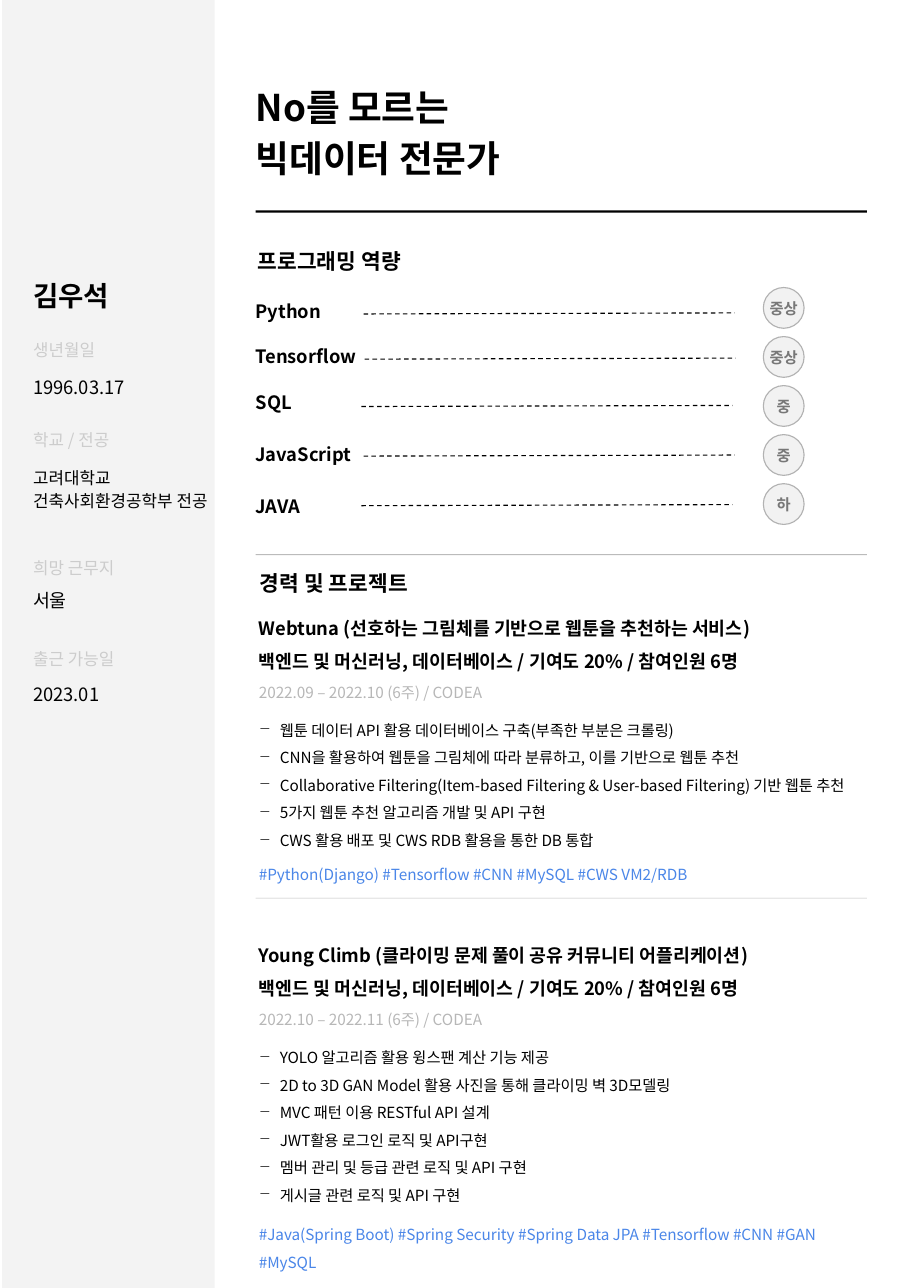
from lxml import etree
from pptx import Presentation
from pptx.dml.color import RGBColor
from pptx.enum.dml import MSO_LINE
from pptx.enum.shapes import MSO_CONNECTOR, MSO_SHAPE
from pptx.enum.text import MSO_ANCHOR, PP_ALIGN
from pptx.oxml.ns import qn
from pptx.util import Inches, Pt

RECTANGLE, OVAL = MSO_SHAPE.RECTANGLE, MSO_SHAPE.OVAL
STRAIGHT, DASH = MSO_CONNECTOR.STRAIGHT, MSO_LINE.DASH
MIDDLE, CENTER = MSO_ANCHOR.MIDDLE, PP_ALIGN.CENTER

FONT = "Noto Sans CJK KR"
BLACK = RGBColor(0x00, 0x00, 0x00)
PANEL_GRAY = RGBColor(0xF3, 0xF3, 0xF3)
LABEL_GRAY = RGBColor(0xCC, 0xCC, 0xCC)
RULE_GRAY = RGBColor(0xBB, 0xBB, 0xBB)
DATE_GRAY = RGBColor(0xB7, 0xB7, 0xB7)
BADGE_FILL = RGBColor(0xF2, 0xF2, 0xF2)
BADGE_LINE = RGBColor(0xB2, 0xB2, 0xB2)
BADGE_TEXT = RGBColor(0x77, 0x77, 0x77)
TAG_BLUE = RGBColor(0x4A, 0x86, 0xE8)

NAME = "김우석"
HEADLINE = ["No를 모르는", "빅데이터 전문가"]

# label, label top, value lines, value top, value size
PROFILE = [
    ("생년월일", 3.08, ["1996.03.17"], 3.41, 12),
    ("학교 / 전공", 3.9, ["고려대학교", "건축사회환경공학부 전공"], 4.22, 11),
    ("희망 근무지", 5.06, ["서울"], 5.35, 12),
    ("출근 가능일", 5.89, ["2023.01"], 6.2, 12),
]

# skill, level, label top, dash left, dash top
SKILLS = [
    ("Python", "중상", 2.72, 3.3, 2.84),
    ("Tensorflow", "중상", 3.13, 3.31, 3.25),
    ("SQL", "중", 3.55, 3.28, 3.68),
    ("JavaScript", "중", 4.02, 3.3, 4.13),
    ("JAVA", "하", 4.49, 3.28, 4.58),
]

SECTIONS = [("프로그래밍 역량", 2.34, 2.25), ("경력 및 프로젝트", 2.36, 5.17)]
# top, thickness in points, colour
RULES = [(1.91, 1.5, BLACK), (5.03, 0.75, RULE_GRAY), (8.15, 0.35, RULE_GRAY)]

ROLE = "백엔드 및 머신러닝, 데이터베이스 / 기여도 20% / 참여인원 6명"
PROJECTS = [
    {
        "top": 5.6,
        "title": "Webtuna (선호하는 그림체를 기반으로 웹툰을 추천하는 서비스)",
        "date": "2022.09 – 2022.10 (6주) / CODEA",
        "tasks": [
            "웹툰 데이터 API 활용 데이터베이스 구축(부족한 부분은 크롤링)",
            "CNN을 활용하여 웹툰을 그림체에 따라 분류하고, 이를 기반으로 웹툰 추천",
            "Collaborative Filtering(Item-based Filtering & User-based Filtering) 기반 웹툰 추천",
            "5가지 웹툰 추천 알고리즘 개발 및 API 구현",
            "CWS 활용 배포 및 CWS RDB 활용을 통한 DB 통합",
        ],
        "tags": "#Python(Django) #Tensorflow #CNN #MySQL #CWS VM2/RDB",
        "tags_top": 7.77,
    },
    {
        "top": 8.57,
        "title": "Young Climb (클라이밍 문제 풀이 공유 커뮤니티 어플리케이션)",
        "date": "2022.10 – 2022.11 (6주) / CODEA",
        "tasks": [
            "YOLO 알고리즘 활용 윙스팬 계산 기능 제공",
            "2D to 3D GAN Model 활용 사진을 통해 클라이밍 벽 3D모델링",
            "MVC 패턴 이용 RESTful API 설계",
            "JWT활용 로그인 로직 및 API구현",
            "멤버 관리 및 등급 관련 로직 및 API 구현",
            "게시글 관련 로직 및 API 구현",
        ],
        "tags": "#Java(Spring Boot) #Spring Security #Spring Data JPA #Tensorflow #CNN #GAN #MySQL",
        "tags_top": 11.04,
    },
]

SIDEBAR_LEFT, MAIN_LEFT, PROJECT_LEFT, MAIN_WIDTH = 0.3, 2.32, 2.35, 5.55
BADGE_LEFT, BADGE_TOP, BADGE_SIZE = 6.93, 2.61, 0.37
BADGE_PITCH = (4.39 - BADGE_TOP) / 4
DASH_LENGTH, DASH_RISE = 3.37, 0.01
LINE_HEIGHT = 0.25
TASK_HEIGHT = 1.59 / 6
TASK_INDENT = 0.19


def add_dash_bullet(paragraph):
    properties = paragraph._p.get_or_add_pPr()
    properties.set("marL", str(Inches(TASK_INDENT)))
    properties.set("indent", str(-Inches(TASK_INDENT)))
    color = etree.SubElement(properties, qn("a:buClr"))
    etree.SubElement(color, qn("a:srgbClr"), val=str(BLACK))
    etree.SubElement(properties, qn("a:buChar"), char="−")


def write(frame, lines, size, color, bold=False, spacing=None, bullet=False, align=None):
    """Fill a text frame without insets, one paragraph per line."""
    frame.word_wrap = True
    frame.margin_left = frame.margin_right = frame.margin_top = frame.margin_bottom = 0
    for index, line in enumerate(lines):
        paragraph = frame.add_paragraph() if index else frame.paragraphs[0]
        paragraph.text = line
        if align is not None:
            paragraph.alignment = align
        if spacing:
            paragraph.line_spacing = spacing
        if bullet:
            add_dash_bullet(paragraph)
        font = paragraph.font
        font.size = Pt(size)
        font.bold = bold
        font.color.rgb = color
        font.name = FONT
        # Hangul takes the East Asian typeface
        defaults = paragraph._p.pPr.find(qn("a:defRPr"))
        etree.SubElement(defaults, qn("a:ea"), typeface=FONT)


def add_text(slide, left, top, width, height, lines, size, color=BLACK, **style):
    box = slide.shapes.add_textbox(Inches(left), Inches(top), Inches(width), Inches(height))
    write(box.text_frame, lines, size, color, **style)


def add_block(slide, left, top, width, height, color, kind=RECTANGLE):
    shape = slide.shapes.add_shape(kind, Inches(left), Inches(top), Inches(width), height)
    shape.shadow.inherit = False
    shape.fill.solid()
    shape.fill.fore_color.rgb = color
    shape.line.fill.background()
    return shape


def add_leader(slide, left, top):
    leader = slide.shapes.add_connector(
        STRAIGHT, Inches(left), Inches(top + DASH_RISE), Inches(left + DASH_LENGTH), Inches(top))
    leader.line.color.rgb = BLACK
    leader.line.width = Pt(0.75)
    leader.line.dash_style = DASH
    etree.SubElement(leader._element.spPr, qn("a:effectLst"))


def add_badge(slide, top, level):
    badge = add_block(slide, BADGE_LEFT, top, BADGE_SIZE, Inches(BADGE_SIZE), BADGE_FILL, OVAL)
    badge.line.color.rgb = BADGE_LINE
    badge.line.width = Pt(0.75)
    badge.text_frame.vertical_anchor = MIDDLE
    write(badge.text_frame, [level], 10, BADGE_TEXT, bold=True, align=CENTER)


def add_sidebar(slide):
    add_block(slide, 0.02, 0, 1.93, Inches(11.69), PANEL_GRAY)
    add_text(slide, SIDEBAR_LEFT, 2.53, 1.15, LINE_HEIGHT, [NAME], 18, bold=True)
    for label, label_top, values, value_top, size in PROFILE:
        add_text(slide, SIDEBAR_LEFT, label_top, 1.44, LINE_HEIGHT, [label], 11, LABEL_GRAY)
        add_text(slide, SIDEBAR_LEFT, value_top, 1.65, LINE_HEIGHT, values, size,
                 spacing=1.15 if len(values) > 1 else None)


def add_project(slide, project):
    top = project["top"]
    tasks = project["tasks"]
    for offset, line in ((0, project["title"]), (0.3, ROLE)):
        add_text(slide, PROJECT_LEFT, top + offset, MAIN_WIDTH, LINE_HEIGHT, [line], 12, bold=True)
    add_text(slide, PROJECT_LEFT, top + 0.6, 2.76, 0.18, [project["date"]], 10, DATE_GRAY)
    add_text(slide, PROJECT_LEFT, top + 0.86, MAIN_WIDTH, TASK_HEIGHT * len(tasks), tasks, 10,
             spacing=1.5, bullet=True)
    add_text(slide, PROJECT_LEFT, project["tags_top"], MAIN_WIDTH, LINE_HEIGHT,
             [project["tags"]], 10, TAG_BLUE, spacing=1.5)


def main():
    presentation = Presentation()
    presentation.slide_width, presentation.slide_height = Inches(8.27), Inches(11.69)
    slide = presentation.slides.add_slide(presentation.slide_layouts[6])

    add_sidebar(slide)
    add_text(slide, MAIN_LEFT, 0.71, MAIN_WIDTH, 0.86, HEADLINE, 24, bold=True, spacing=1.15)
    for top, thickness, color in RULES:
        add_block(slide, MAIN_LEFT, top, MAIN_WIDTH, Pt(thickness), color)
    for heading, left, top in SECTIONS:
        add_text(slide, left, top, 1.93, LINE_HEIGHT, [heading], 14, bold=True)
    for index, (skill, level, top, dash_left, dash_top) in enumerate(SKILLS):
        add_text(slide, MAIN_LEFT, top, 0.98, LINE_HEIGHT, [skill], 12, bold=True)
        add_leader(slide, dash_left, dash_top)
        add_badge(slide, BADGE_TOP + index * BADGE_PITCH, level)
    for project in PROJECTS:
        add_project(slide, project)

    presentation.save("out.pptx")


if __name__ == "__main__":
    main()
